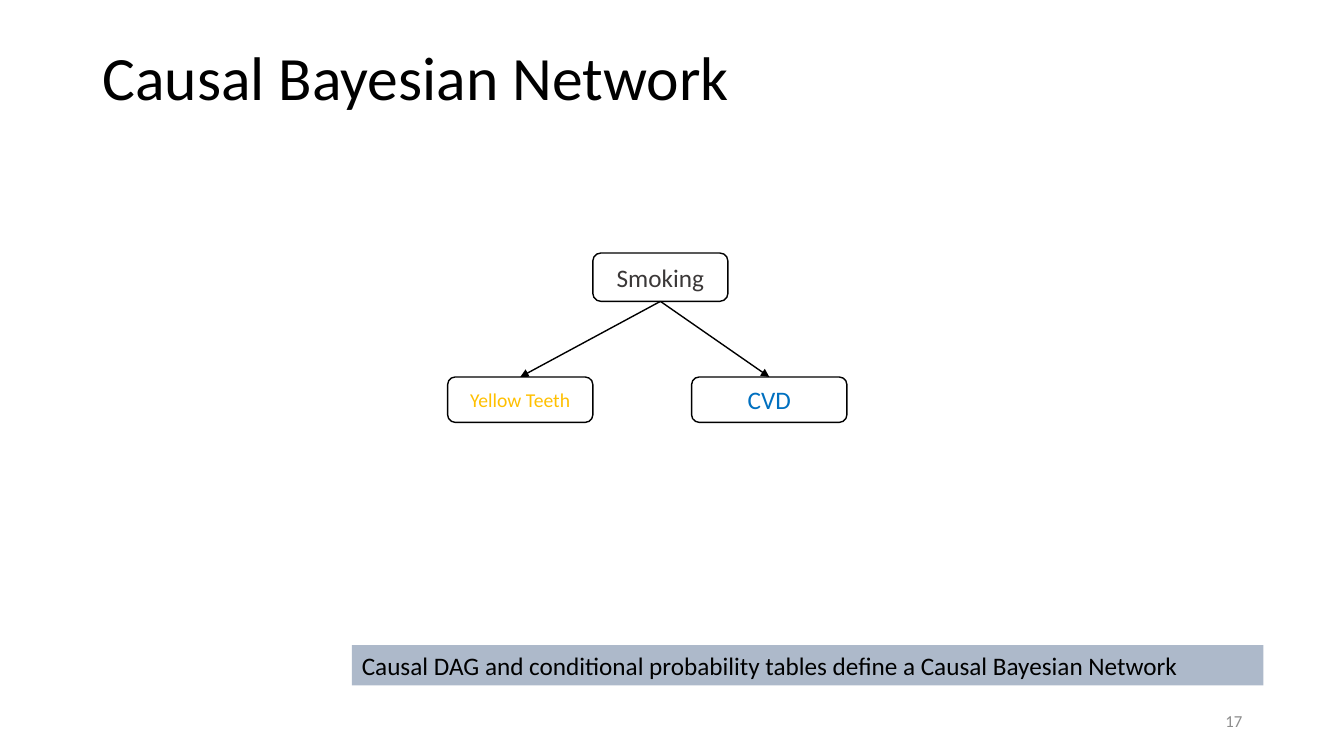
from dataclasses import dataclass
from typing import Optional

from lxml.etree import SubElement
from pptx import Presentation
from pptx.dml.color import RGBColor
from pptx.enum.shapes import MSO_CONNECTOR, MSO_SHAPE
from pptx.enum.text import MSO_ANCHOR, PP_ALIGN
from pptx.oxml.ns import qn
from pptx.util import Inches, Pt

FONT = "Calibri"
COLORS = {
    "black": "000000", "white": "FFFFFF", "grey": "8C8C8C", "banner": "ADB9CA",
    "smoking": "3B3838", "teeth": "FFC000", "cvd": "0070C0",
}

# The slide is a grid of 1333 columns by 750 rows
COLUMNS, ROWS = 1333, 750
prs = Presentation()
prs.slide_width, prs.slide_height = Inches(13.33), Inches(7.5)
s = prs.slides.add_slide(prs.slide_layouts[6])


def col(n: float) -> int:
    return round(prs.slide_width * n / COLUMNS)


def row(n: float) -> int:
    return round(prs.slide_height * n / ROWS)


def rgb(name: str) -> RGBColor:
    return RGBColor.from_string(COLORS[name])


@dataclass
class Box:
    text: str
    left: float
    top: float
    width: float
    height: float
    size: int
    color: str = "black"
    align: PP_ALIGN = PP_ALIGN.LEFT
    anchor: MSO_ANCHOR = MSO_ANCHOR.MIDDLE
    shape: Optional[MSO_SHAPE] = None
    fill: str = "white"
    line: Optional[str] = None
    spacing: float = 1.0


def draw_box(box: Box):
    area = col(box.left), row(box.top), col(box.width), row(box.height)
    if box.shape is None:
        sp = s.shapes.add_textbox(*area)
    else:
        sp = s.shapes.add_shape(box.shape, *area)
        sp.shadow.inherit = False
        sp.fill.solid()
        sp.fill.fore_color.rgb = rgb(box.fill)
        if box.line:
            sp.line.color.rgb = rgb(box.line)
            sp.line.width = Pt(1)
        else:
            sp.line.fill.background()
    tf = sp.text_frame
    tf.word_wrap = True
    tf.vertical_anchor = box.anchor
    p = tf.paragraphs[0]
    p.alignment = box.align
    p.line_spacing = box.spacing
    r = p.add_run()
    r.text = box.text
    r.font.name, r.font.size = FONT, Pt(box.size)
    r.font.color.rgb = rgb(box.color)
    return sp


def node(text: str, left: float, top: float, width: float, height: float,
         size: int, color: str):
    return draw_box(Box(text, left, top, width, height, size, color,
                        align=PP_ALIGN.CENTER, line="black",
                        shape=MSO_SHAPE.ROUNDED_RECTANGLE))


def draw_arrow(cause, effect) -> None:
    """Join the bottom centre of the cause to the top centre of the effect."""
    arrow = s.shapes.add_connector(MSO_CONNECTOR.STRAIGHT, 0, 0, 0, 0)
    arrow.begin_connect(cause, 2)
    arrow.end_connect(effect, 0)
    arrow.line.color.rgb = rgb("black")
    arrow.line.width = Pt(1)
    SubElement(arrow.line._get_or_add_ln(), qn("a:tailEnd"), type="triangle")
    SubElement(arrow._element.spPr, qn("a:effectLst"))


# Title, page number and banner
draw_box(Box("Causal Bayesian Network", 92, 40, 1150, 79, 44, spacing=0.9))
draw_box(Box("17", 942, 695, 300, 40, 12, "grey", PP_ALIGN.RIGHT))
draw_box(Box("Causal DAG and conditional probability tables define a Causal Bayesian Network",
             349, 640, 904, 40, 18, anchor=MSO_ANCHOR.TOP,
             shape=MSO_SHAPE.RECTANGLE, fill="banner"))

# Causal graph
smoking = node("Smoking", 588, 251, 134, 48, 18, "smoking")
effects = [
    node("Yellow Teeth", 444, 374, 144, 45, 14, "teeth"),
    node("CVD", 686, 374, 154, 45, 18, "cvd"),
]
for effect in effects:
    draw_arrow(smoking, effect)

prs.save("out.pptx")
